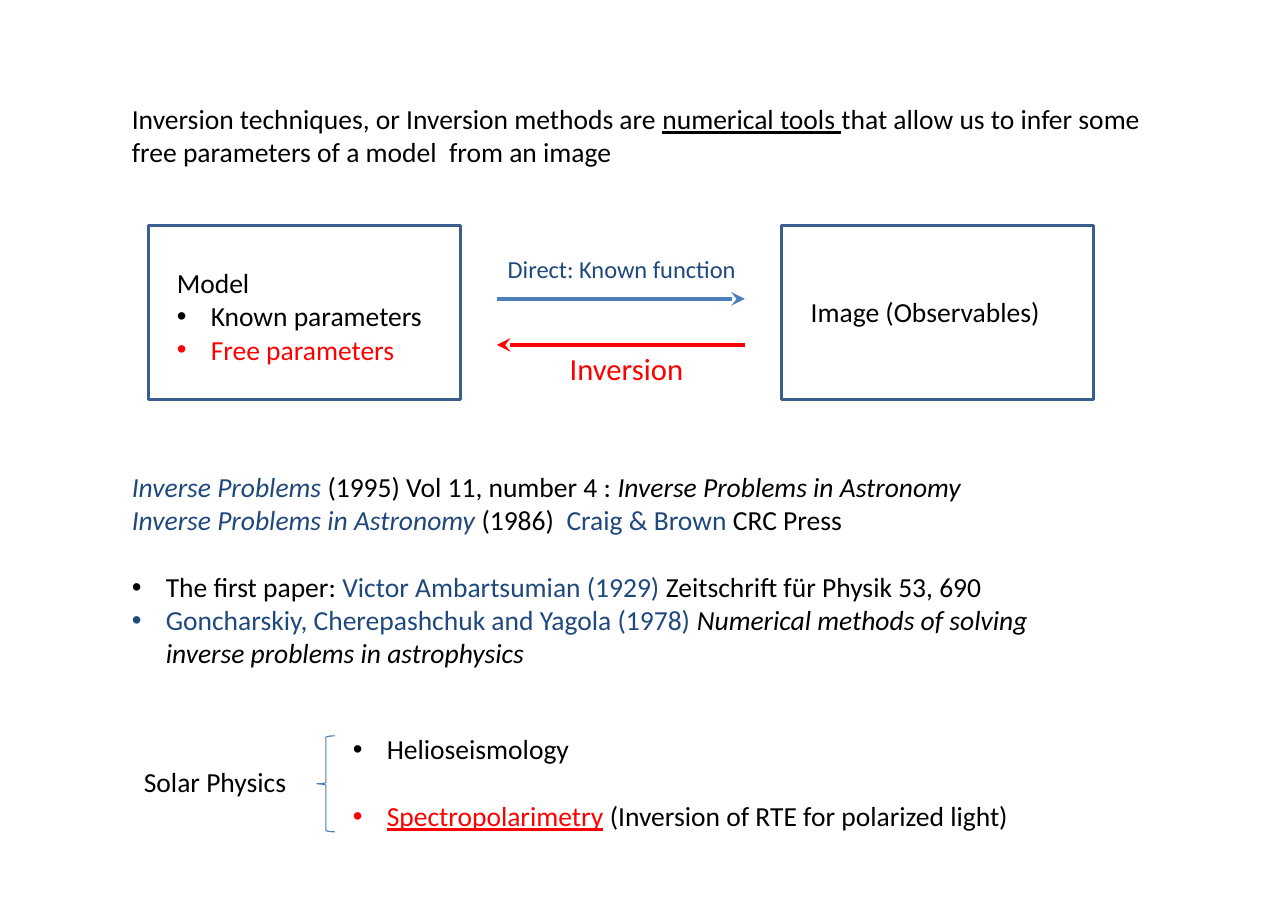
from lxml import etree
from pptx import Presentation
from pptx import util as u
from pptx.dml.color import RGBColor
from pptx.enum import shapes, text
from pptx.oxml.ns import qn

PX = 8298  # EMU in one px
HUES = {"ink": "000000", "paper": "FFFFFF", "navy": "1F497D",
        "edge": "3A5F8C", "blue": "4B7EBC", "red": "FF0000"}
BULLET = 34  # hanging indent, px


def px(n):
    return u.Emu(n * PX)


def hue(name):
    return RGBColor.from_string(HUES[name])


def run(words, tint="ink", size=18, italic=False, under=False):
    return words, tint, size, italic, under


def para(*runs, bullet=False, gap=0, align=text.PP_ALIGN.LEFT):
    return runs, bullet, gap, align


class Page:
    """Holds the slide and its style, with a method for each element."""

    def __init__(self, slide, font="Calibri"):
        self.items = slide.shapes
        self.font = font

    def label(self, x, y, w, h, *paras):
        frame = self.items.add_textbox(px(x), px(y), px(w), px(h)).text_frame
        frame.word_wrap = True
        for i, (runs, bullet, gap, align) in enumerate(paras):
            line = frame.paragraphs[0] if i == 0 else frame.add_paragraph()
            line.alignment = align
            if gap:
                line.space_before = u.Pt(gap)
            if bullet:
                self.mark(line)
            for words, tint, size, italic, under in runs:
                part = line.add_run()
                part.text = words
                font = part.font
                font.name, font.size = self.font, u.Pt(size)
                font.italic, font.underline = italic, under
                font.color.rgb = hue(tint)

    def mark(self, line):
        """Give a paragraph a hanging bullet."""
        props = line._p.get_or_add_pPr()
        props.set("marL", str(px(BULLET)))
        props.set("indent", str(-px(BULLET)))
        etree.SubElement(props, qn("a:buFont"), typeface="Arial")
        etree.SubElement(props, qn("a:buChar"), char="•")

    def shape(self, kind, x, y, w, h, edge, width, fill=None):
        item = self.items.add_shape(kind, px(x), px(y), px(w), px(h))
        item.shadow.inherit = False
        if fill:
            item.fill.solid()
            item.fill.fore_color.rgb = hue(fill)
        else:
            item.fill.background()
        item.line.color.rgb = hue(edge)
        item.line.width = u.Pt(width)

    def arrow(self, start, end, y, tint):
        item = self.items.add_connector(
            shapes.MSO_CONNECTOR.STRAIGHT, px(start), px(y), px(end), px(y))
        item.line.color.rgb = hue(tint)
        item.line.width = u.Pt(3)
        props = item._element.spPr
        etree.SubElement(props.find(qn("a:ln")), qn("a:tailEnd"),
                         type="stealth")
        etree.SubElement(props, qn("a:effectLst"))


def main():
    deck = Presentation()
    deck.slide_width, deck.slide_height = u.Inches(11.69), u.Inches(8.26)
    page = Page(deck.slides.add_slide(deck.slide_layouts[6]))

    page.label(121, 97, 1047, 78, para(
        run("Inversion techniques, or Inversion methods are "),
        run("numerical tools ", under=True),
        run("that allow us to infer some free parameters of a model  "
            "from an image")))

    # Model and image, joined by the direct and inverse ways
    for left in (149, 782):
        page.shape(shapes.MSO_SHAPE.RECTANGLE, left, 226, 312, 174,
                   "edge", 2, "paper")
    page.label(166, 261, 276, 111,
               para(run("Model")),
               para(run("Known parameters"), bullet=True),
               para(run("Free parameters", "red"), bullet=True))
    page.label(800, 290, 276, 44, para(run("Image (Observables)")))
    page.arrow(497, 745, 299, "blue")
    page.arrow(745, 497, 345, "red")
    page.label(497, 249, 267, 41,
               para(run("Direct: Known function", "navy", 16)))
    page.label(493, 345, 267, 48,
               para(run("Inversion", "red", 20), align=text.PP_ALIGN.CENTER))

    # References
    page.label(
        121, 465, 983, 212,
        para(run("Inverse Problems ", "navy", italic=True),
             run("(1995) Vol 11, number 4 : "),
             run("Inverse Problems in Astronomy", italic=True)),
        para(run("Inverse Problems in Astronomy ", "navy", italic=True),
             run("(1986)  "), run("Craig & Brown ", "navy"),
             run("CRC Press")),
        para(run("The first paper: "),
             run("Victor Ambartsumian (1929) ", "navy"),
             run("Zeitschrift für Physik 53, 690"), bullet=True, gap=22),
        para(run("Goncharskiy, Cherepashchuk and Yagola (1978) ", "navy"),
             run("Numerical methods of solving inverse problems in "
                 "astrophysics", italic=True), bullet=True))

    # Branches of solar physics
    page.label(133, 760, 180, 44, para(run("Solar Physics")))
    page.shape(shapes.MSO_SHAPE.LEFT_BRACE, 317, 736, 18, 96, "blue", 0.75)
    page.label(342, 727, 734, 111,
               para(run("Helioseismology"), bullet=True),
               para(run("Spectropolarimetry", "red", under=True),
                    run(" (Inversion of RTE for polarized light)"),
                    bullet=True, gap=22))
    deck.save("out.pptx")


if __name__ == "__main__":
    main()
